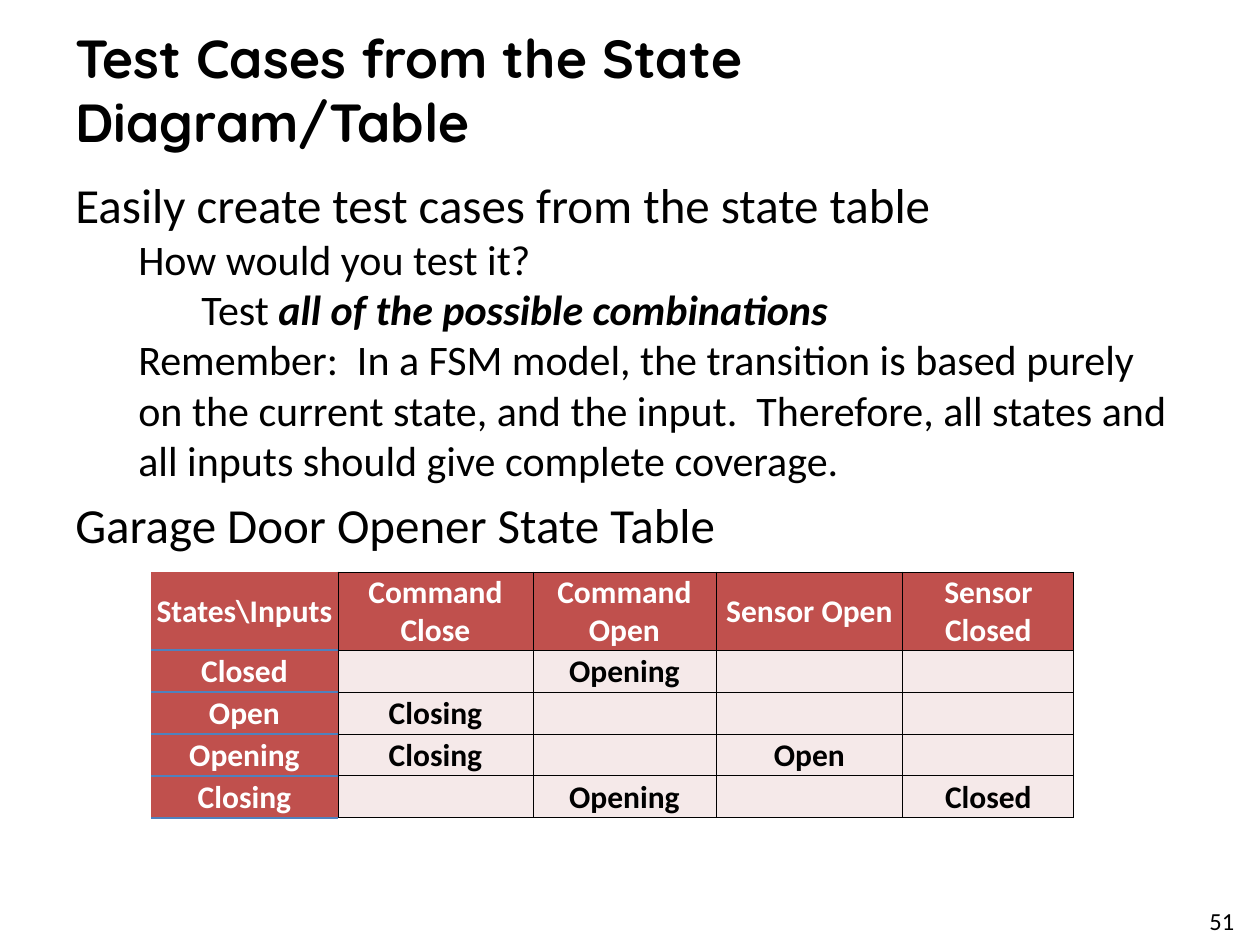
from dataclasses import dataclass

from lxml import etree
from pptx import Presentation
from pptx.dml.color import RGBColor
from pptx.enum.text import MSO_ANCHOR, PP_ALIGN
from pptx.oxml.ns import qn
from pptx.util import Emu, Pt

MIDDLE = MSO_ANCHOR.MIDDLE
TOP = MSO_ANCHOR.TOP
CENTER = PP_ALIGN.CENTER

EMU_PER_PX = 914400 / 126
INDENT = 63
BLACK = "000000"
WHITE = "FFFFFF"
RED = "C0504D"
PINK = "F5E9E9"
BLUE = "4F81BD"


@dataclass(frozen=True)
class Run:
    text: str
    size: float
    font: str = "Calibri"
    color: str = BLACK
    bold: bool = False
    italic: bool = False


@dataclass(frozen=True)
class Line:
    runs: tuple[Run, ...]
    level: int = 0
    space_before: float = 0


@dataclass(frozen=True)
class Box:
    left: int
    top: int
    width: int
    height: int


@dataclass(frozen=True)
class Border:
    color: str
    width: float


THIN = Border(BLACK, 0.5)
THICK = Border(BLUE, 1.5)

BODY = (
    Line((Run("Easily create test cases from the state table", 28),)),
    Line((Run("How would you test it?", 24),), level=1),
    Line((Run("Test ", 24),
          Run("all of the possible combinations", 24, bold=True, italic=True)), level=2),
    Line((Run("Remember:  In a FSM model, the transition is based purely on the "
              "current state, and the input.  Therefore, all states and all inputs "
              "should give complete coverage.", 24),), level=1),
    Line((Run("Garage Door Opener State Table", 28),), space_before=5.6),
)

STATE_TABLE = (
    ("States\\Inputs", "Command Close", "Command Open", "Sensor Open", "Sensor Closed"),
    ("Closed", "", "Opening", "", ""),
    ("Open", "Closing", "", "", ""),
    ("Opening", "Closing", "", "Open", ""),
    ("Closing", "", "Opening", "", "Closed"),
)
COLUMN_WIDTHS = (187, 195, 183, 187, 171)
ROW_HEIGHTS = (78, 42, 42, 42, 42)


def px(length: int) -> Emu:
    return Emu(round(length * EMU_PER_PX))


def rgb(color: str) -> RGBColor:
    return RGBColor.from_string(color)


def add_run(paragraph, run: Run) -> None:
    text_run = paragraph.add_run()
    text_run.text = run.text
    font = text_run.font
    font.name = run.font
    font.size = Pt(run.size)
    font.bold = run.bold
    font.italic = run.italic
    font.color.rgb = rgb(run.color)


def add_text(slide, box: Box, lines: tuple[Line, ...], anchor=TOP) -> None:
    shape = slide.shapes.add_textbox(px(box.left), px(box.top), px(box.width), px(box.height))
    frame = shape.text_frame
    frame.word_wrap = True
    frame.vertical_anchor = anchor
    for index, line in enumerate(lines):
        paragraph = frame.add_paragraph() if index else frame.paragraphs[0]
        if line.level:
            paragraph.level = line.level
            properties = paragraph._p.get_or_add_pPr()
            properties.set("marL", str(px(line.level * INDENT)))
            properties.set("indent", "0")
        if line.space_before:
            paragraph.space_before = Pt(line.space_before)
        for run in line.runs:
            add_run(paragraph, run)


def set_borders(cell, left, right, top, bottom) -> None:
    """Draw the four cell edges; None leaves an edge without a line."""
    properties = cell._tc.get_or_add_tcPr()
    edges = {"a:lnL": left, "a:lnR": right, "a:lnT": top, "a:lnB": bottom}
    for tag, border in edges.items():
        line = etree.SubElement(properties, qn(tag))
        if border is None:
            etree.SubElement(line, qn("a:noFill"))
            continue
        line.set("w", str(Pt(border.width)))
        fill = etree.SubElement(line, qn("a:solidFill"))
        etree.SubElement(fill, qn("a:srgbClr")).set("val", border.color)


def fill_cell(cell, text: str, row: int, column: int) -> None:
    is_heading = row == 0 or column == 0
    if column == 0:
        set_borders(cell, None, THIN, THICK if row else None, THICK)
    else:
        set_borders(cell, THIN, THIN, THIN, THIN)
    cell.fill.solid()
    cell.fill.fore_color.rgb = rgb(RED if is_heading else PINK)
    cell.vertical_anchor = MIDDLE
    cell.margin_left = cell.margin_right = cell.margin_top = px(1)
    cell.margin_bottom = 0
    paragraph = cell.text_frame.paragraphs[0]
    paragraph.alignment = CENTER
    if text:
        add_run(paragraph, Run(text, 18, color=WHITE if is_heading else BLACK, bold=True))


def add_state_table(slide, left: int, top: int) -> None:
    frame = slide.shapes.add_table(
        len(ROW_HEIGHTS), len(COLUMN_WIDTHS), px(left), px(top),
        px(sum(COLUMN_WIDTHS)), px(sum(ROW_HEIGHTS)))
    table = frame.table
    table.horz_banding = False
    for column, width in zip(table.columns, COLUMN_WIDTHS):
        column.width = px(width)
    for row, height in zip(table.rows, ROW_HEIGHTS):
        row.height = px(height)
    for row_index, texts in enumerate(STATE_TABLE):
        for column_index, text in enumerate(texts):
            fill_cell(table.cell(row_index, column_index), text, row_index, column_index)


def main() -> None:
    presentation = Presentation()
    presentation.slide_width = px(1260)
    presentation.slide_height = px(945)
    slide = presentation.slides.add_slide(presentation.slide_layouts[6])

    title = Run("Test Cases from the State Diagram/Table", 30.6, "Quicksand", bold=True)
    add_text(slide, Box(63, 21, 840, 136), (Line((title,)),), MIDDLE)
    add_text(slide, Box(1197, 900, 57, 32), (Line((Run("51", 14),)),))
    add_text(slide, Box(63, 168, 1134, 680), BODY)
    add_state_table(slide, 151, 572)

    presentation.save("out.pptx")


if __name__ == "__main__":
    main()
